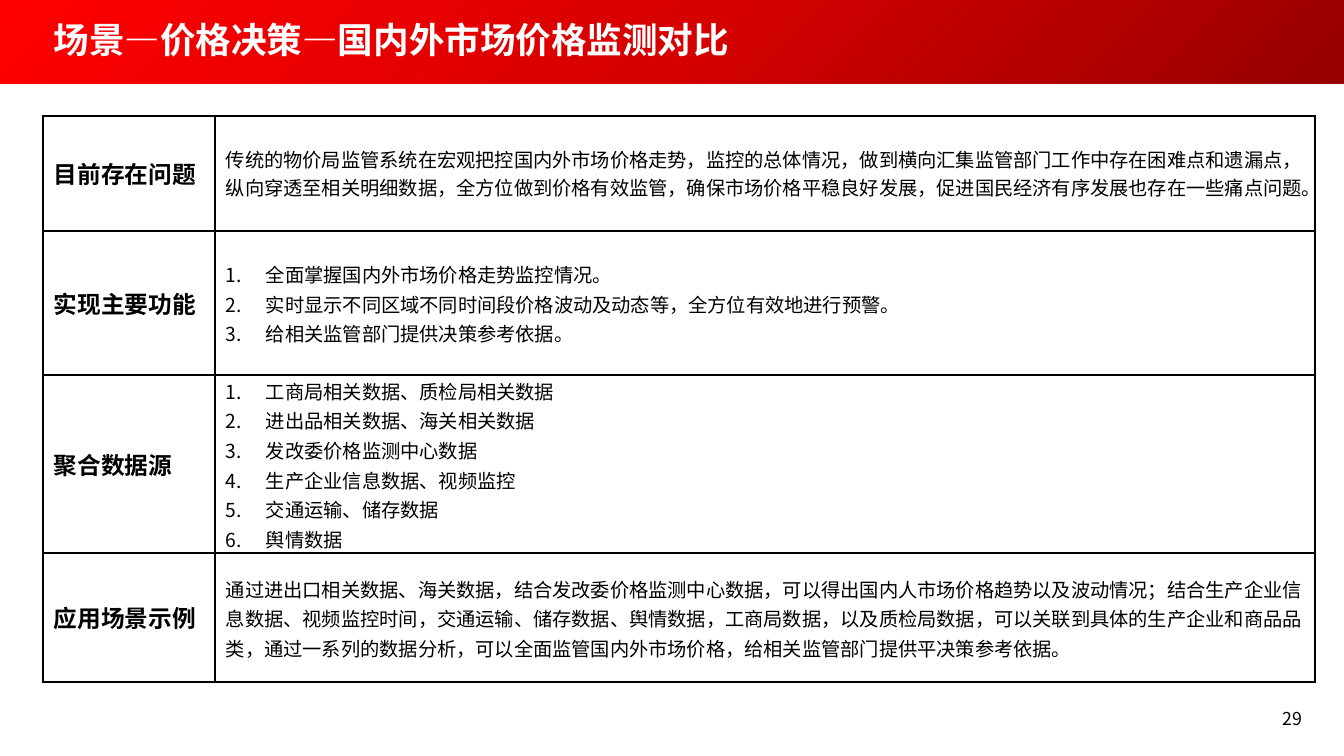
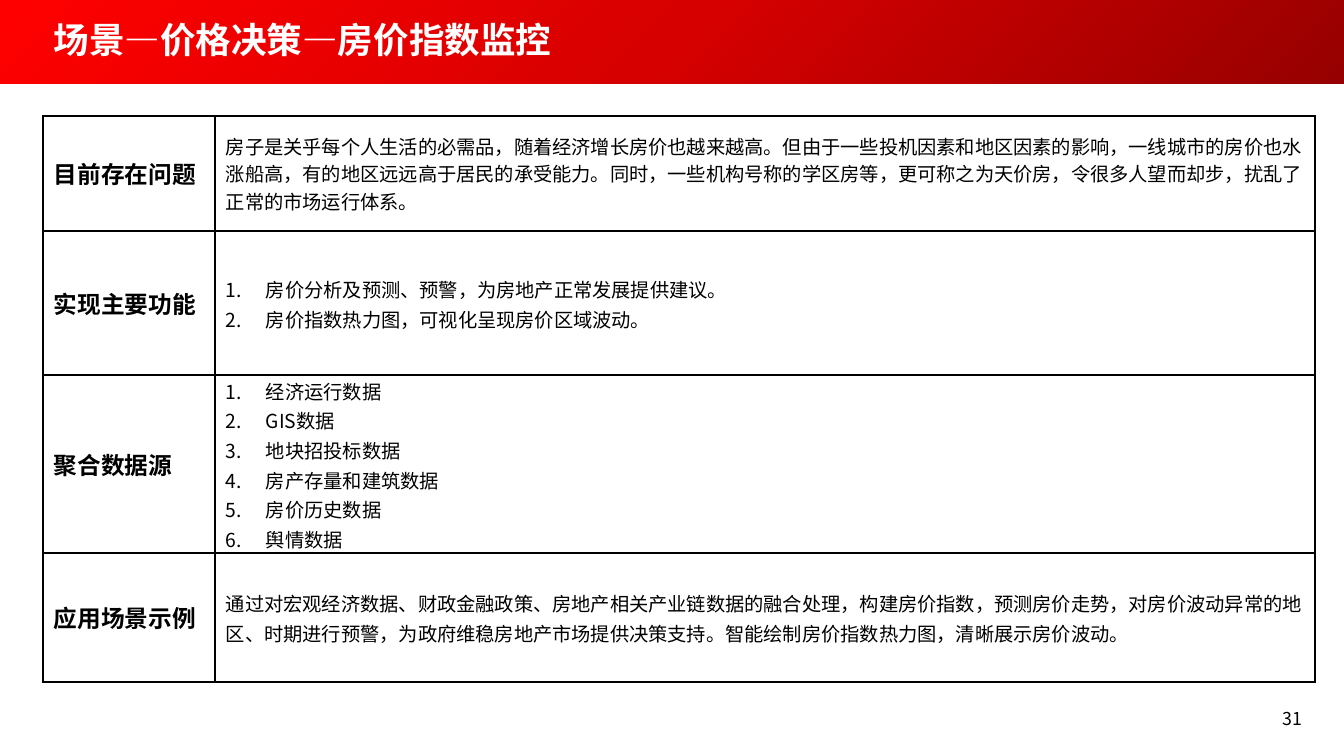
import pptx
import pptx.dml.color
import pptx.enum.shapes
import pptx.enum.text
import pptx.oxml
import pptx.oxml.ns
import pptx.util
from lxml import etree

LABELS = ["目前存在问题", "实现主要功能", "聚合数据源", "应用场景示例"]

# A string is running text; a list is numbered.
SCENARIOS = [
    {
        "title": "场景—价格决策—国内外市场价格监测对比",
        "page": "29",
        "contents": [
            "传统的物价局监管系统在宏观把控国内外市场价格走势，监控的总体情况，做到横向汇集监管部门工作中存在困难点和遗漏点，"
            "纵向穿透至相关明细数据，全方位做到价格有效监管，确保市场价格平稳良好发展，促进国民经济有序发展也存在一些痛点问题。",
            [
                "全面掌握国内外市场价格走势监控情况。",
                "实时显示不同区域不同时间段价格波动及动态等，全方位有效地进行预警。",
                "给相关监管部门提供决策参考依据。",
            ],
            [
                "工商局相关数据、质检局相关数据",
                "进出品相关数据、海关相关数据",
                "发改委价格监测中心数据",
                "生产企业信息数据、视频监控",
                "交通运输、储存数据",
                "舆情数据",
            ],
            "通过进出口相关数据、海关数据，结合发改委价格监测中心数据，可以得出国内人市场价格趋势以及波动情况；"
            "结合生产企业信息数据、视频监控时间，交通运输、储存数据、舆情数据，工商局数据，以及质检局数据，"
            "可以关联到具体的生产企业和商品品类，通过一系列的数据分析，可以全面监管国内外市场价格，"
            "给相关监管部门提供平决策参考依据。",
        ],
    },
    {
        "title": "场景—价格决策—房价指数监控",
        "page": "31",
        "contents": [
            "房子是关乎每个人生活的必需品，随着经济增长房价也越来越高。但由于一些投机因素和地区因素的影响，"
            "一线城市的房价也水涨船高，有的地区远远高于居民的承受能力。同时，一些机构号称的学区房等，"
            "更可称之为天价房，令很多人望而却步，扰乱了正常的市场运行体系。",
            [
                "房价分析及预测、预警，为房地产正常发展提供建议。",
                "房价指数热力图，可视化呈现房价区域波动。",
            ],
            [
                "经济运行数据",
                "GIS数据",
                "地块招投标数据",
                "房产存量和建筑数据",
                "房价历史数据",
                "舆情数据",
            ],
            "通过对宏观经济数据、财政金融政策、房地产相关产业链数据的融合处理，构建房价指数，预测房价走势，"
            "对房价波动异常的地区、时期进行预警，为政府维稳房地产市场提供决策支持。"
            "智能绘制房价指数热力图，清晰展示房价波动。",
        ],
    },
]

EMU_PER_PX = 8572.5
SLIDE_WIDTH, SLIDE_HEIGHT = 1344, 756
BAND_HEIGHT = 84
MARGIN = 43
TITLE_WIDTH = 1160
TABLE_TOP = 116
COLUMN_WIDTHS = [172, 1100]
ROW_HEIGHTS = [115, 144, 178, 129]
NUMBER_INDENT = 40
PAGE_BOX = (1010, 703, 303, 41)

# Cell margins: left, top, right, bottom
NORMAL_MARGINS = (11, 5, 11, 5)
TIGHT_MARGINS = (11, 0, 8, 0)
CONTENT_MARGINS = [NORMAL_MARGINS, NORMAL_MARGINS, TIGHT_MARGINS, TIGHT_MARGINS]
CONTENT_SPACINGS = [None, 1.07, 1.07, 1.07]

BLACK = pptx.dml.color.RGBColor(0x00, 0x00, 0x00)
WHITE = pptx.dml.color.RGBColor(0xFF, 0xFF, 0xFF)
DARK_RED = pptx.dml.color.RGBColor(0x97, 0x00, 0x00)
MID_RED = pptx.dml.color.RGBColor(0xD7, 0x00, 0x00)
RED = pptx.dml.color.RGBColor(0xFF, 0x00, 0x00)
BAND_STOPS = [(0, DARK_RED), (50, MID_RED), (100, RED)]
BAND_ANGLE = 225

CJK_FONT = "Noto Sans CJK SC"
LATIN_FONT = "Calibri"
MIDDLE = pptx.enum.text.MSO_ANCHOR.MIDDLE


def px(length):
    return pptx.util.Emu(round(length * EMU_PER_PX))


def add_element(parent, tag, **attributes):
    element = etree.SubElement(parent, pptx.oxml.ns.qn(tag))
    for name, value in attributes.items():
        element.set(name, str(value))
    return element


def add_colour(parent, colour):
    add_element(parent, "a:srgbClr", val=colour)


def style(paragraph, size, colour=BLACK, bold=False, latin=CJK_FONT):
    font = paragraph.font
    font.size = pptx.util.Pt(size)
    font.bold = bold
    font.color.rgb = colour
    font.name = latin
    properties = paragraph._p.pPr.find(pptx.oxml.ns.qn("a:defRPr"))
    add_element(properties, "a:ea", typeface=CJK_FONT)


def number(paragraph):
    """Give the paragraph an automatic number with a hanging indent."""
    properties = paragraph._p.get_or_add_pPr()
    properties.set("marL", str(px(NUMBER_INDENT)))
    properties.set("indent", str(-px(NUMBER_INDENT)))
    add_colour(add_element(properties, "a:buClr"), BLACK)
    add_element(properties, "a:buAutoNum", type="arabicPeriod")


def add_band(slide):
    band = slide.shapes.add_shape(
        pptx.enum.shapes.MSO_SHAPE.RECTANGLE, 0, 0, px(SLIDE_WIDTH), px(BAND_HEIGHT))
    band.shadow.inherit = False
    band.line.fill.background()
    gradient = pptx.oxml.parse_xml(
        '<a:gradFill %s rotWithShape="1"/>' % pptx.oxml.ns.nsdecls("a"))
    stops = add_element(gradient, "a:gsLst")
    for percent, colour in BAND_STOPS:
        add_colour(add_element(stops, "a:gs", pos=percent * 1000), colour)
    add_element(gradient, "a:lin", ang=BAND_ANGLE * 60000, scaled=0)
    band._element.spPr.find(pptx.oxml.ns.qn("a:prstGeom")).addnext(gradient)


def add_text(slide, box, text):
    """Add a wrapped one-paragraph text box; return its frame and paragraph."""
    frame = slide.shapes.add_textbox(*map(px, box)).text_frame
    frame.word_wrap = True
    frame.text = text
    return frame, frame.paragraphs[0]


def add_frame(slide, title, page):
    add_band(slide)
    frame, paragraph = add_text(slide, (MARGIN, 0, TITLE_WIDTH, BAND_HEIGHT), title)
    frame.vertical_anchor = MIDDLE
    paragraph.line_spacing = 0.9
    style(paragraph, 24, WHITE, bold=True)
    _, paragraph = add_text(slide, PAGE_BOX, page)
    paragraph.alignment = pptx.enum.text.PP_ALIGN.RIGHT
    style(paragraph, 12)


def format_cell(cell, margins):
    cell.vertical_anchor = MIDDLE
    (cell.margin_left, cell.margin_top,
     cell.margin_right, cell.margin_bottom) = map(px, margins)
    properties = cell._tc.get_or_add_tcPr()
    for side in ("a:lnL", "a:lnR", "a:lnT", "a:lnB"):
        border = add_element(properties, side, w=pptx.util.Pt(1))
        add_colour(add_element(border, "a:solidFill"), BLACK)
    cell.fill.background()


def fill_content(cell, content, spacing):
    numbered = isinstance(content, list)
    cell.text = "\n".join(content) if numbered else content
    for paragraph in cell.text_frame.paragraphs:
        if spacing:
            paragraph.line_spacing = spacing
        if numbered:
            number(paragraph)
        style(paragraph, 13, latin=CJK_FONT if numbered else LATIN_FONT)


def add_scenario_table(slide, contents):
    table = slide.shapes.add_table(
        len(LABELS), len(COLUMN_WIDTHS), px(MARGIN), px(TABLE_TOP),
        px(sum(COLUMN_WIDTHS)), px(sum(ROW_HEIGHTS))).table
    table.first_row = table.horz_banding = False
    for column, width in zip(table.columns, COLUMN_WIDTHS):
        column.width = px(width)
    rows = zip(table.rows, ROW_HEIGHTS, LABELS, contents,
               CONTENT_MARGINS, CONTENT_SPACINGS)
    for row, height, label, content, margins, spacing in rows:
        row.height = px(height)
        label_cell, content_cell = row.cells
        format_cell(label_cell, NORMAL_MARGINS)
        label_cell.text = label
        style(label_cell.text_frame.paragraphs[0], 16, bold=True)
        format_cell(content_cell, margins)
        fill_content(content_cell, content, spacing)


def main():
    presentation = pptx.Presentation()
    presentation.slide_width = px(SLIDE_WIDTH)
    presentation.slide_height = px(SLIDE_HEIGHT)
    for scenario in SCENARIOS:
        slide = presentation.slides.add_slide(presentation.slide_layouts[6])
        add_frame(slide, scenario["title"], scenario["page"])
        add_scenario_table(slide, scenario["contents"])
    presentation.save("out.pptx")


if __name__ == "__main__":
    main()
